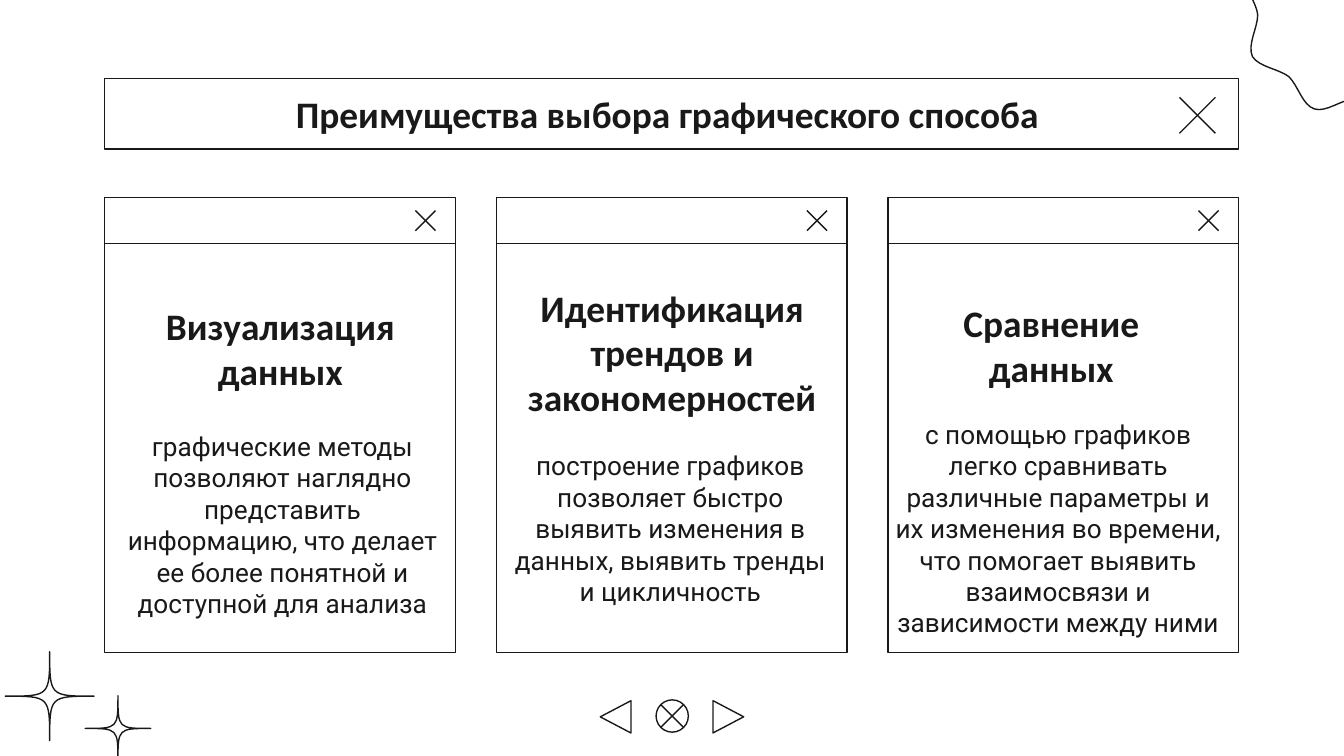
"""Build a slide with three window-style cards on the benefits of charts."""
from lxml import etree
from pptx import Presentation, util as u
from pptx.dml import color
from pptx.enum import shapes, text
from pptx.oxml import ns

COLOURS = {"ink": "191919"}
HEADING = {"font": "Calibri", "size": 20, "bold": True}
BODY = {"font": "Roboto", "size": 14, "bold": False}

CARDS = [
    ("Визуализация данных", (2.53, 5.13, 5.54, 2.9),
     "графические методы позволяют наглядно представить информацию, "
     "что делает ее более понятной и доступной для анализа",
     (2.1, 8.11, 6.48, 3.61)),
    ("Идентификация трендов и закономерностей", (9.25, 4.85, 6.91, 3.61),
     "построение графиков позволяет быстро выявить изменения в данных, "
     "выявить тренды и цикличность",
     (9.37, 8.26, 6.6, 3.45)),
    ("Сравнение данных", (17.1, 5.89, 5.54, 1.27),
     "с помощью графиков легко сравнивать различные параметры и их изменения "
     "во времени, что помогает выявить взаимосвязи и зависимости между ними",
     (16.57, 8.46, 6.86, 3.05)),
]

BLOB_START = (26.75, 1.3)
BLOB_CURVES = [
    ((26.92, 1.12), (27.28, 1.04), (27.36, 0.81)),
    ((27.43, 0.58), (27.18, 0.3), (27.18, 0.05)),
    ((27.15, -0.18), (27.36, -0.48), (27.25, -0.71)),
    ((27.15, -0.91), (26.77, -0.94), (26.59, -1.12)),
    ((26.39, -1.27), (26.31, -1.63), (26.11, -1.7)),
    ((25.88, -1.78), (25.6, -1.55), (25.35, -1.52)),
    ((25.12, -1.5), (24.82, -1.73), (24.59, -1.6)),
    ((24.38, -1.5), (24.36, -1.14), (24.18, -0.94)),
    ((24.03, -0.76), (23.65, -0.69), (23.57, -0.46)),
    ((23.5, -0.23), (23.75, 0.05), (23.77, 0.28)),
    ((23.77, 0.53), (23.57, 0.84), (23.67, 1.07)),
    ((23.8, 1.27), (24.16, 1.3), (24.36, 1.45)),
    ((24.54, 1.63), (24.61, 1.98), (24.84, 2.06)),
    ((25.07, 2.13), (25.35, 1.88), (25.58, 1.88)),
    ((25.83, 1.85), (26.14, 2.03), (26.34, 1.96)),
    ((26.57, 1.85), (26.59, 1.47), BLOB_START),
]


class Painter:
    """Hold the style and the current slide, and draw each kind of element."""

    def __init__(self, page, colours, line_width=0.75):
        """Keep the page and the shared style."""
        self.page = page
        self.ink = color.RGBColor.from_string(colours["ink"])
        self.line_width = u.Pt(line_width)

    def outline(self, item):
        """Give an item the thin ink line."""
        item.line.color.rgb = self.ink
        item.line.width = self.line_width

    def hollow(self, item):
        """Leave an item with only its outline."""
        item.shadow.inherit = False
        item.fill.background()
        self.outline(item)

    def shape(self, kind, left, top, width, height, rotation=0):
        """Add an unfilled preset shape."""
        item = self.page.shapes.add_shape(
            kind, u.Cm(left), u.Cm(top), u.Cm(width), u.Cm(height))
        item.rotation = rotation
        self.hollow(item)

    def cross(self, left, top, size):
        """Add a close mark made of two diagonal lines."""
        right, bottom = left + size, top + size
        for start, end in ((top, bottom), (bottom, top)):
            stroke = self.page.shapes.add_connector(
                shapes.MSO_CONNECTOR.STRAIGHT,
                u.Cm(left), u.Cm(start), u.Cm(right), u.Cm(end))
            self.outline(stroke)
            etree.SubElement(stroke.element.spPr, ns.qn("a:effectLst"))

    def curve(self, start, curves):
        """Add a closed outline of cubic curves."""
        builder = self.page.shapes.build_freeform(*map(u.Cm, start))
        builder.add_line_segments(
            [tuple(map(u.Cm, point)) for curve in curves for point in curve])
        item = builder.convert_to_shape()
        outline_path = next(item.element.iter(ns.qn("a:path")))
        lines = outline_path.findall(ns.qn("a:lnTo"))
        for first in range(0, len(lines), 3):
            bend = etree.SubElement(outline_path, ns.qn("a:cubicBezTo"))
            for line in lines[first:first + 3]:
                bend.append(line[0])
                outline_path.remove(line)
        etree.SubElement(outline_path, ns.qn("a:close"))
        self.hollow(item)

    def star(self, x, y, radius):
        """Add a four-pointed star whose sides bend to its centre."""
        centre = (x, y)
        tips = [(x - radius, y), (x, y - radius), (x + radius, y), (x, y + radius)]
        self.curve(tips[-1], [(centre, centre, tip) for tip in tips])

    def text(self, box, place, words, style):
        """Place a box and fill it with one centred paragraph."""
        box.left, box.top, box.width, box.height = map(u.Cm, place)
        frame = box.text_frame
        frame.word_wrap = True
        frame.auto_size = text.MSO_AUTO_SIZE.NONE
        frame.vertical_anchor = text.MSO_ANCHOR.MIDDLE
        frame.margin_left = frame.margin_right = u.Cm(0.25)
        frame.margin_top = frame.margin_bottom = u.Cm(0.25)
        para = frame.paragraphs[0]
        para.alignment = text.PP_ALIGN.CENTER
        para.space_before = u.Pt(0)
        properties = para._p.get_or_add_pPr()
        properties.set("marL", "0")
        properties.set("indent", "0")
        etree.SubElement(properties, ns.qn("a:buNone"))
        span = para.add_run()
        span.text = words
        span.font.name = style["font"]
        span.font.size = u.Pt(style["size"])
        span.font.bold = style["bold"]
        span.font.color.rgb = self.ink

    def text_box(self, place, words, style):
        """Add a free text box."""
        box = self.page.shapes.add_textbox(*map(u.Cm, place))
        self.text(box, place, words, style)

    def window(self, left):
        """Add a card with a title bar and a close mark."""
        self.shape(shapes.MSO_SHAPE.RECTANGLE, left, 4.6, 6.63, 7.73)
        self.shape(shapes.MSO_SHAPE.RECTANGLE, left, 3.73, 6.63, 0.87)
        self.cross(left + 5.87, 3.98, 0.38)


def main():
    """Build and save the deck."""
    deck = Presentation()
    deck.slide_width, deck.slide_height = u.Cm(25.4), u.Cm(14.29)
    page = deck.slides.add_slide(deck.slide_layouts.get_by_name("Comparison"))
    painter = Painter(page, COLOURS)
    title, *bodies = page.placeholders

    painter.text(title, (1.98, 1.48, 21.43, 1.34),
                 "Преимущества выбора графического способа ", HEADING)
    painter.outline(title)
    painter.cross(22.29, 1.84, 0.68)

    for index, (heading, heading_place, words, place) in enumerate(CARDS):
        painter.window(1.98 + index * 7.4)
        painter.text_box(heading_place, heading, HEADING)
        painter.text(bodies[index], place, words, BODY)
    for spare in bodies[len(CARDS):]:
        spare.element.getparent().remove(spare.element)

    painter.curve(BLOB_START, BLOB_CURVES)
    painter.star(0.94, 13.16, 0.84)
    painter.star(2.23, 13.77, 0.62)

    triangle = shapes.MSO_SHAPE.ISOSCELES_TRIANGLE
    painter.shape(triangle, 11.33, 13.26, 0.61, 0.58, rotation=270)
    painter.shape(shapes.MSO_SHAPE.FLOWCHART_SUMMING_JUNCTION, 12.4, 13.23, 0.61, 0.61)
    painter.shape(triangle, 13.46, 13.26, 0.61, 0.58, rotation=90)
    deck.save("out.pptx")


if __name__ == "__main__":
    main()
